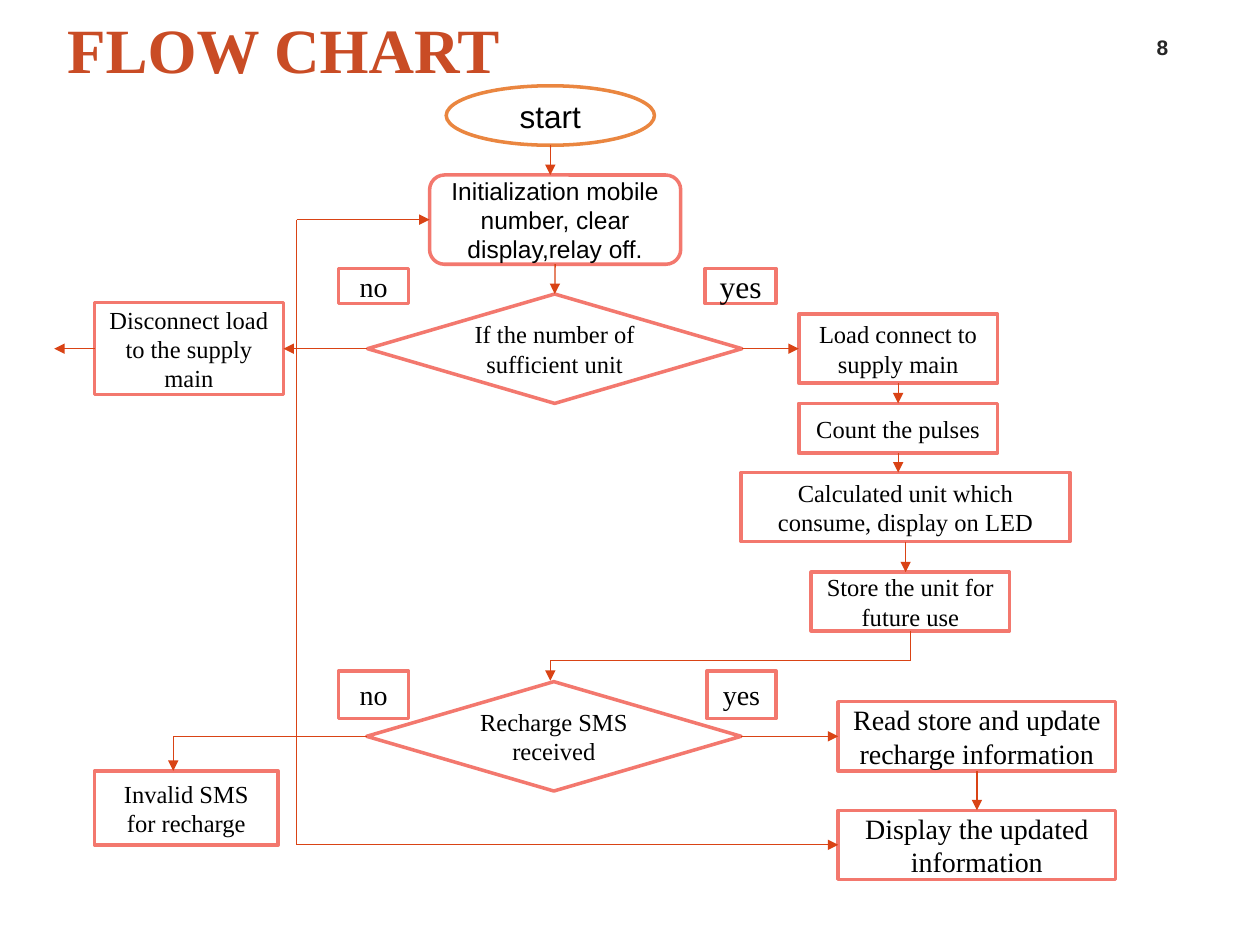
"""Build a flow chart slide for a prepaid energy meter."""
from typing import NamedTuple, Union

from lxml.etree import SubElement
from pptx import Presentation
from pptx.dml.color import RGBColor
from pptx.enum.shapes import MSO_CONNECTOR, MSO_SHAPE
from pptx.enum.text import MSO_ANCHOR, MSO_AUTO_SIZE, PP_ALIGN
from pptx.oxml.ns import qn
from pptx.util import Pt

SERIF, SANS = "Times New Roman", "Arial"
TOP, LEFT, BOTTOM, RIGHT = range(4)
RECT, DECISION = MSO_SHAPE.RECTANGLE, MSO_SHAPE.FLOWCHART_DECISION


class Node(NamedTuple):
    """A flow chart box, in points."""
    x: float
    y: float
    w: float
    h: float
    text: str
    size: float = 14
    kind: MSO_SHAPE = RECT
    font: str = SERIF
    line: str = "F3786E"


class Point(NamedTuple):
    """A free connector end, in points."""
    x: float
    y: float


class Site(NamedTuple):
    """A connector end joined to the side of a node."""
    node: str
    side: int


End = Union[Point, Site]


class Link(NamedTuple):
    """A straight connector between two ends."""
    begin: End
    end: End
    arrow: bool = True


NODES = {
    "start": Node(255, 49, 119, 34, "start", 18, MSO_SHAPE.OVAL, SANS, "EA8640"),
    "init": Node(245.5, 100, 143.5, 51, "Initialization mobile number, clear display,relay off.",
                 14, MSO_SHAPE.ROUNDED_RECTANGLE, SANS),
    "units": Node(210, 168, 214, 62.5, "If the number of sufficient unit", 14, DECISION),
    "disconnect": Node(54, 173, 108, 52.5, "Disconnect load to the supply main"),
    "no units": Node(193.5, 153.5, 40, 20, "no", 16),
    "yes units": Node(403, 153.5, 40.5, 20, "yes", 18),
    "load": Node(456.5, 179.5, 113.5, 39.5, "Load connect to supply main"),
    "count": Node(456.5, 230.5, 113.5, 28.5, "Count the pulses"),
    "calculate": Node(423.5, 270, 188, 39.5, "Calculated unit which consume, display on LED"),
    "store": Node(463.5, 327, 113.5, 33.5, "Store the unit for future use"),
    "recharge": Node(209.5, 389.5, 214, 62.5, "Recharge SMS received", 14, DECISION),
    "no recharge": Node(193.5, 383.5, 40, 27, "no", 16),
    "yes recharge": Node(404, 383.5, 39.5, 27, "yes", 16),
    "read": Node(479, 401, 158.5, 39.5, "Read store and update recharge information", 16),
    "display": Node(479, 463, 158.5, 39.5, "Display the updated information", 16),
    "invalid": Node(54, 440.5, 105, 42.5, "Invalid SMS for recharge"),
}

LOOP_TOP, LOOP_BOTTOM = Point(169.5, 125.5), Point(169.5, 482.75)
STORE_TURN, SMS_TURN = Point(520.25, 377.5), Point(314.5, 377.5)
INVALID_TURN = Point(99, 420.75)

LINKS = [
    Link(Point(314.5, 83), Point(314.5, 100)),
    Link(Site("init", BOTTOM), Site("units", TOP)),
    Link(LOOP_TOP, Site("init", LEFT)),
    Link(Site("units", LEFT), Site("disconnect", RIGHT)),
    Link(Site("disconnect", LEFT), Point(31, 199.25)),
    Link(Site("units", RIGHT), Site("load", LEFT)),
    Link(Site("load", BOTTOM), Site("count", TOP)),
    Link(Site("count", BOTTOM), Point(513.25, 270)),
    Link(Site("calculate", BOTTOM), Point(517.5, 327)),
    Link(Site("store", BOTTOM), STORE_TURN, False),
    Link(STORE_TURN, SMS_TURN, False),
    Link(SMS_TURN, Point(314.5, 389)),
    Link(Site("recharge", RIGHT), Site("read", LEFT)),
    Link(Site("read", BOTTOM), Site("display", TOP)),
    Link(LOOP_TOP, LOOP_BOTTOM, False),
    Link(LOOP_BOTTOM, Site("display", LEFT)),
    Link(Site("recharge", LEFT), INVALID_TURN, False),
    Link(INVALID_TURN, Point(99, 440.5)),
]


def rgb(color: str) -> RGBColor:
    """Turn a hex string into a colour."""
    return RGBColor.from_string(color)


def write(sp, text: str, size: float, font: str, color: str, bold: bool = False,
          align=PP_ALIGN.CENTER, anchor=MSO_ANCHOR.MIDDLE) -> None:
    """Fill a shape with one formatted run."""
    tf = sp.text_frame
    tf.word_wrap = True
    tf.auto_size = MSO_AUTO_SIZE.NONE
    tf.vertical_anchor = anchor
    p = tf.paragraphs[0]
    p.alignment = align
    r = p.add_run()
    r.text = text
    r.font.size, r.font.name, r.font.bold = Pt(size), font, bold
    r.font.color.rgb = rgb(color)


def add_node(s, node: Node):
    """Draw one flow chart box."""
    sp = s.shapes.add_shape(node.kind, Pt(node.x), Pt(node.y), Pt(node.w), Pt(node.h))
    sp.shadow.inherit = False
    sp.fill.solid()
    sp.fill.fore_color.rgb = rgb("FFFFFF")
    sp.line.color.rgb = rgb(node.line)
    sp.line.width = Pt(2)
    write(sp, node.text, node.size, node.font, "000000")
    return sp


def locate(end: End) -> Point:
    """Give the position of a connector end."""
    if isinstance(end, Point):
        return end
    n = NODES[end.node]
    dx, dy = {TOP: (0.5, 0), LEFT: (0, 0.5), BOTTOM: (0.5, 1), RIGHT: (1, 0.5)}[end.side]
    return Point(n.x + n.w * dx, n.y + n.h * dy)


def add_link(s, link: Link, shapes: dict) -> None:
    """Draw one connector and join its ends to their nodes."""
    a, b = locate(link.begin), locate(link.end)
    cxn = s.shapes.add_connector(MSO_CONNECTOR.STRAIGHT, Pt(a.x), Pt(a.y), Pt(b.x), Pt(b.y))
    for end, join in ((link.begin, cxn.begin_connect), (link.end, cxn.end_connect)):
        if isinstance(end, Site):
            join(shapes[end.node], end.side)
    cxn.line.color.rgb = rgb("D94315")
    cxn.line.width = Pt(0.75)
    if link.arrow:
        SubElement(cxn.line._get_or_add_ln(), qn("a:tailEnd"), type="triangle")
    SubElement(cxn._element.spPr, qn("a:effectLst"))


def main() -> None:
    """Build and save the slide."""
    prs = Presentation()
    prs.slide_width, prs.slide_height = Pt(720), Pt(540)
    s = prs.slides.add_slide(prs.slide_layouts[5])

    title = s.shapes.title
    title.left, title.top, title.width, title.height = Pt(24), Pt(6), Pt(291), Pt(43)
    write(title, "FLOW CHART", 36, SERIF, "C94C25", True, PP_ALIGN.LEFT)
    title.text_frame.margin_left, title.text_frame.margin_right = Pt(14.4), Pt(0)

    number = s.shapes.add_textbox(Pt(644.5), Pt(13.5), Pt(39.5), Pt(24))
    write(number, "8", 12, SANS, "262626", True, anchor=MSO_ANCHOR.BOTTOM)

    shapes = {name: add_node(s, node) for name, node in NODES.items()}
    for link in LINKS:
        add_link(s, link, shapes)
    prs.save("out.pptx")


if __name__ == "__main__":
    main()
